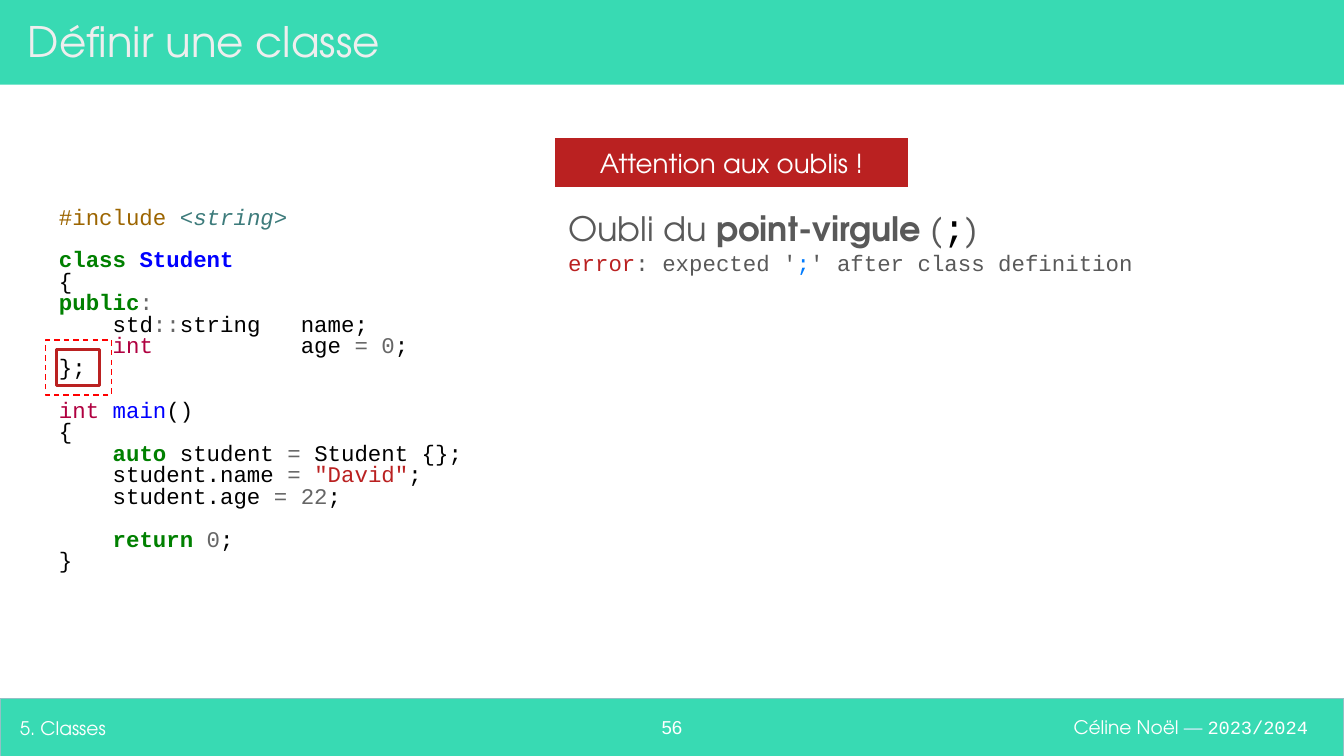
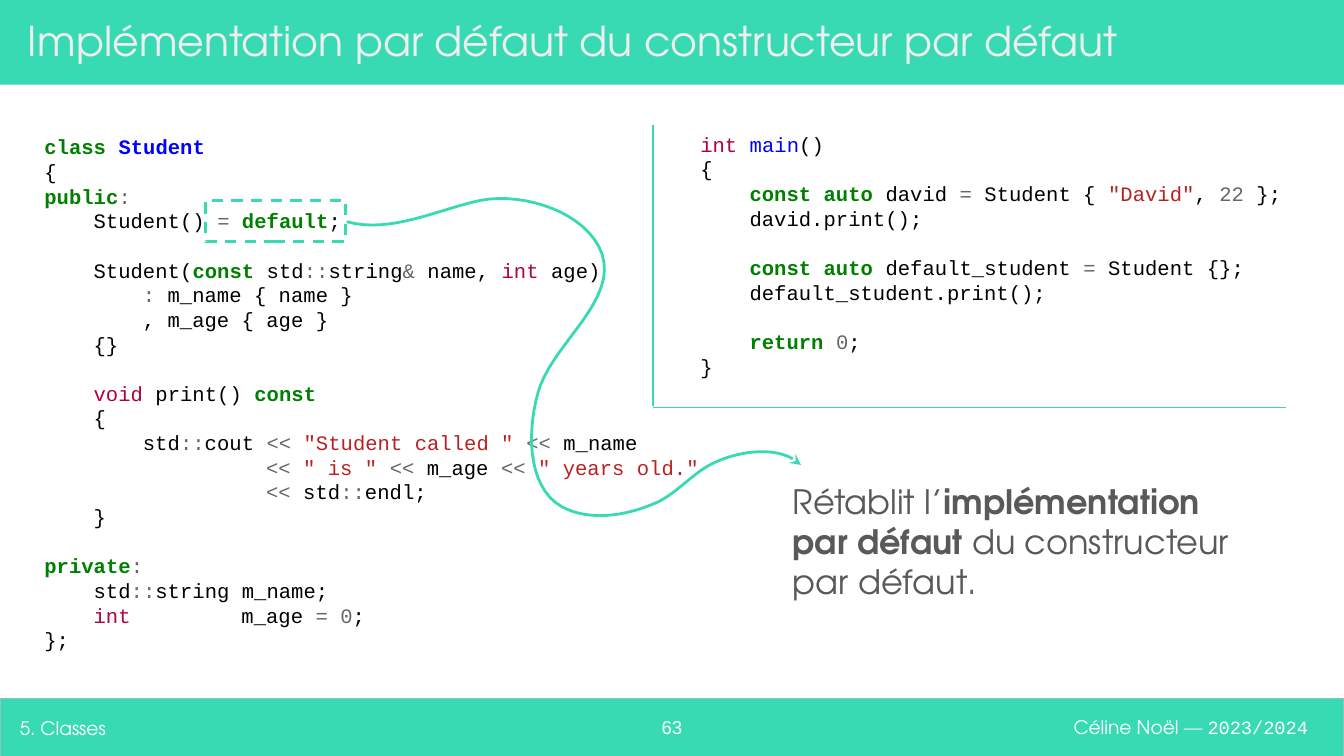
from lxml.etree import SubElement
from pptx import Presentation
from pptx.dml.color import RGBColor
from pptx.enum.dml import MSO_LINE
from pptx.enum.shapes import MSO_CONNECTOR, MSO_SHAPE
from pptx.enum.text import MSO_ANCHOR, PP_ALIGN
from pptx.oxml.ns import qn
from pptx.util import Inches, Pt

MINT = RGBColor(0x38, 0xDA, 0xB3)
BAND_EDGE = RGBColor(0x93, 0xC0, 0xC5)
WHITE = RGBColor(0xFF, 0xFF, 0xFF)
PALE = RGBColor(0xEE, 0xEE, 0xEE)
ICE = RGBColor(0xE2, 0xEE, 0xFF)
BLACK = RGBColor(0x00, 0x00, 0x00)
SLATE = RGBColor(0x59, 0x59, 0x59)
GREY = RGBColor(0x66, 0x66, 0x66)
BRICK = RGBColor(0xBA, 0x21, 0x21)
RED = RGBColor(0xFF, 0x00, 0x00)
GREEN = RGBColor(0x00, 0x80, 0x00)
BLUE = RGBColor(0x00, 0x00, 0xFF)
AZURE = RGBColor(0x00, 0x7B, 0xFD)
CRIMSON = RGBColor(0xB0, 0x00, 0x40)
BROWN = RGBColor(0x9C, 0x65, 0x00)
TEAL = RGBColor(0x3D, 0x7B, 0x7B)

SANS = "TeX Gyre Adventor"
MONO = "Courier New"

KEYWORDS = {"class", "public", "private", "const", "auto", "const auto", "default", "return"}
TOKEN_COLOURS = {
    **dict.fromkeys(KEYWORDS, GREEN),
    "Student": BLUE, "main": BLUE, "int": CRIMSON, "void": CRIMSON,
    "#include": BROWN, "<string>": TEAL,
}
OPERATOR_STARTS = tuple("=:<&0123456789")

FORGOTTEN_SEMICOLON = """#include |<string>

class |Student
{
public|:
\tstd|::|string\tname;
\tint|\tage |= 0|;
};

int |main|()
{
\tauto |student |= |Student {};
\tstudent.name |= |"David"|;
\tstudent.age |= 22|;

\treturn |0|;
}"""

STUDENT_CLASS = """class |Student
{
public|:
\tStudent() |= |default|;

\tStudent(|const |std|::|string|& |name, |int |age)
\t\t: |m_name { name }
\t\t, m_age { age }
\t{}

\tvoid |print() |const
\t{
\t\tstd|::|cout |<< |"Student called " |<< |m_name
\t\t\t\t<< |" is " |<< |m_age |<< |" years old."
\t\t\t\t<< |std|::|endl;
\t}

private|:
\tstd|::|string m_name;
\tint|\t\tm_age |= 0|;
};"""

MAIN_PROGRAM = """int |main|()
{
\tconst auto |david |= |Student { |"David"|, |22 |};
\tdavid.print();

\tconst auto |default_student |= |Student {};
\tdefault_student.print();

\treturn |0|;
}"""


def add_frame(slide, left, top, width, height, anchor=MSO_ANCHOR.MIDDLE):
    frame = slide.shapes.add_textbox(
        Inches(left), Inches(top), Inches(width), Inches(height)).text_frame
    frame.word_wrap = True
    frame.vertical_anchor = anchor
    frame.margin_left = frame.margin_right = Inches(0.1)
    frame.margin_top = frame.margin_bottom = Inches(0.1)
    return frame


def write(paragraph, font, size, runs, align=PP_ALIGN.LEFT):
    paragraph.alignment = align
    paragraph.font.name = font
    paragraph.font.size = Pt(size)
    for text, colour, *bold in runs:
        run = paragraph.add_run()
        run.text = text
        run.font.color.rgb = colour
        if bold:
            run.font.bold = bold[0]


deck = Presentation()
deck.slide_width = Inches(10)
deck.slide_height = deck.slide_width * 9 // 16

slides = []
for title, title_size, number in [
    ("Définir une classe", 22.5, "56"),
    ("Implémentation par défaut du constructeur par défaut", 22, "63"),
]:
    slide = deck.slides.add_slide(deck.slide_layouts[6])
    slides.append(slide)
    for top, height, edge in [(5.2, 0.44, BAND_EDGE), (0, 0.63, None)]:
        band = slide.shapes.add_shape(
            MSO_SHAPE.RECTANGLE, 0, Inches(top), deck.slide_width, Inches(height))
        band.shadow.inherit = False
        band.fill.solid()
        band.fill.fore_color.rgb = MINT
        if edge:
            band.line.color.rgb = edge
            band.line.width = Pt(0.75)
        else:
            band.line.fill.background()
    author = add_frame(slide, 7.18, 5.19, 2.65, 0.44).paragraphs[0]
    write(author, SANS, 10, [("Céline Noël ", WHITE), ("— ", ICE), ("2023/2024", WHITE)],
          PP_ALIGN.RIGHT)
    author.runs[2].font.name = MONO
    write(add_frame(slide, 0.11, 0.06, 9.48, 0.48).paragraphs[0],
          SANS, title_size, [(title, PALE)])
    write(add_frame(slide, 4.7, 5.24, 0.6, 0.36, MSO_ANCHOR.TOP).paragraphs[0],
          "Arial", 10, [(number, WHITE)], PP_ALIGN.CENTER)
    write(add_frame(slide, 0.05, 5.2, 4.54, 0.44).paragraphs[0],
          SANS, 10, [("5. Classes", WHITE)])

oversight, defaulted = slides

for slide, box, anchor, inset, size, spacing, stops, code in [
    (oversight, (0.34, 0.7, 9.3, 4.41), MSO_ANCHOR.MIDDLE, 0.1, 12, 0.8, (4, 18),
     FORGOTTEN_SEMICOLON),
    (defaulted, (0.16, 0.75, 5.31, 4.35), MSO_ANCHOR.MIDDLE, 0.17, 11, 1, (4, 8, 16, 18),
     STUDENT_CLASS),
    (defaulted, (5.04, 0.88, 4.85, 4.22), MSO_ANCHOR.TOP, 0.17, 11, 1, (4,), MAIN_PROGRAM),
]:
    frame = add_frame(slide, *box, anchor)
    frame.margin_left = Inches(inset)
    paragraph = frame.paragraphs[0]
    for block_index, block in enumerate(code.split("\n\n")):
        for line_index, line in enumerate(block.split("\n")):
            if block_index or line_index:
                paragraph = frame.add_paragraph()
            paragraph.line_spacing = spacing
            if block_index and not line_index:
                paragraph.space_before = Pt(round(size * 1.2 * spacing, 1))
            runs = []
            for token in line.split("|"):
                word = token.strip()
                colour = TOKEN_COLOURS.get(word, BLACK)
                if word.startswith('"'):
                    colour = BRICK
                elif colour == BLACK and word.startswith(OPERATOR_STARTS):
                    colour = GREY
                runs.append((token, colour, word in KEYWORDS or word == "Student"))
            write(paragraph, MONO, size, runs)
            for run in paragraph.runs:
                run.font.italic = run.text == "<string>"
            properties = paragraph._p.get_or_add_pPr()
            tabs = SubElement(properties, qn("a:tabLst"))
            for column in stops:
                SubElement(tabs, qn("a:tab"), pos=str(Pt(column * size * 0.6)), algn="l")
            properties.find(qn("a:defRPr")).addprevious(tabs)

mistake = add_frame(oversight, 4.13, 1.37, 5.36, 1.2, MSO_ANCHOR.TOP)
cause = mistake.paragraphs[0]
cause.line_spacing = 1.15
write(cause, SANS, 18, [("Oubli du ", SLATE), ("point-virgule", SLATE, True), (" (", SLATE),
                        (";", BLACK), (")", SLATE)])
cause.runs[3].font.name = MONO
cause.runs[3].font.size = Pt(20)
write(mistake.add_paragraph(), MONO, 12, [
    ("error", BRICK), (": expected '", SLATE), (";", AZURE),
    ("' after class definition", SLATE)])

warning = oversight.shapes.add_shape(
    MSO_SHAPE.FLOWCHART_PROCESS, Inches(4.13), Inches(1.03), Inches(2.63), Inches(0.36))
warning.shadow.inherit = False
warning.fill.solid()
warning.fill.fore_color.rgb = BRICK
warning.line.fill.background()
warning.text_frame.vertical_anchor = MSO_ANCHOR.MIDDLE
write(warning.text_frame.paragraphs[0], SANS, 14, [("Attention aux oublis !", WHITE)],
      PP_ALIGN.CENTER)

for slide, box, colour, weight, dash in [
    (oversight, (0.34, 2.53, 0.49, 0.41), RED, 0.75, MSO_LINE.DASH),
    (oversight, (0.42, 2.6, 0.32, 0.27), BRICK, 1.5, None),
    (defaulted, (1.53, 1.49, 1.04, 0.31), MINT, 1.5, MSO_LINE.DASH),
]:
    highlight = slide.shapes.add_shape(MSO_SHAPE.RECTANGLE, *map(Inches, box))
    highlight.shadow.inherit = False
    highlight.fill.background()
    highlight.line.color.rgb = colour
    highlight.line.width = Pt(weight)
    if dash:
        highlight.line.dash_style = dash

for ends in [(4.86, 0.93, 4.86, 3.02), (9.57, 3.03, 4.86, 3.03)]:
    divider = defaulted.shapes.add_connector(MSO_CONNECTOR.STRAIGHT, *map(Inches, ends))
    divider.line.color.rgb = MINT
    divider.line.width = Pt(0.75)
    SubElement(divider._element.spPr, qn("a:effectLst"))

write(add_frame(defaulted, 5.8, 3.48, 3.62, 1.09).paragraphs[0], SANS, 18, [
    ("Rétablit l’", SLATE), ("implémentation par défaut", SLATE, True),
    (" du constructeur par défaut.", SLATE)])

start = (2.58, 1.65)
curves = [
    ((2.91, 1.74), (3.25, 1.56), (3.58, 1.49)),
    ((3.9, 1.43), (4.37, 1.58), (4.48, 1.89)),
    ((4.59, 2.23), (4.15, 2.53), (4.02, 2.87)),
    ((3.92, 3.16), (3.91, 3.62), (4.18, 3.77)),
    ((4.38, 3.88), (4.65, 3.84), (4.86, 3.75)),
    ((5.02, 3.69), (5.14, 3.53), (5.3, 3.45)),
    ((5.5, 3.35), (5.81, 3.31), (5.96, 3.46)),
]
STEPS = 16
route = []
origin = start
for first, second, end in curves:
    for step in range(1, STEPS + 1):
        t = step / STEPS
        route.append(tuple(
            Inches((1 - t) ** 3 * a + 3 * (1 - t) ** 2 * t * b
                   + 3 * (1 - t) * t ** 2 * c + t ** 3 * d)
            for a, b, c, d in zip(origin, first, second, end)))
    origin = end
outline = defaulted.shapes.build_freeform(*map(Inches, start))
outline.add_line_segments(route, close=False)
arrow = outline.convert_to_shape()
arrow.shadow.inherit = False
arrow.fill.background()
arrow.line.color.rgb = MINT
arrow.line.width = Pt(1.5)
SubElement(arrow.line._get_or_add_ln(), qn("a:tailEnd"), type="stealth")

deck.save("out.pptx")
